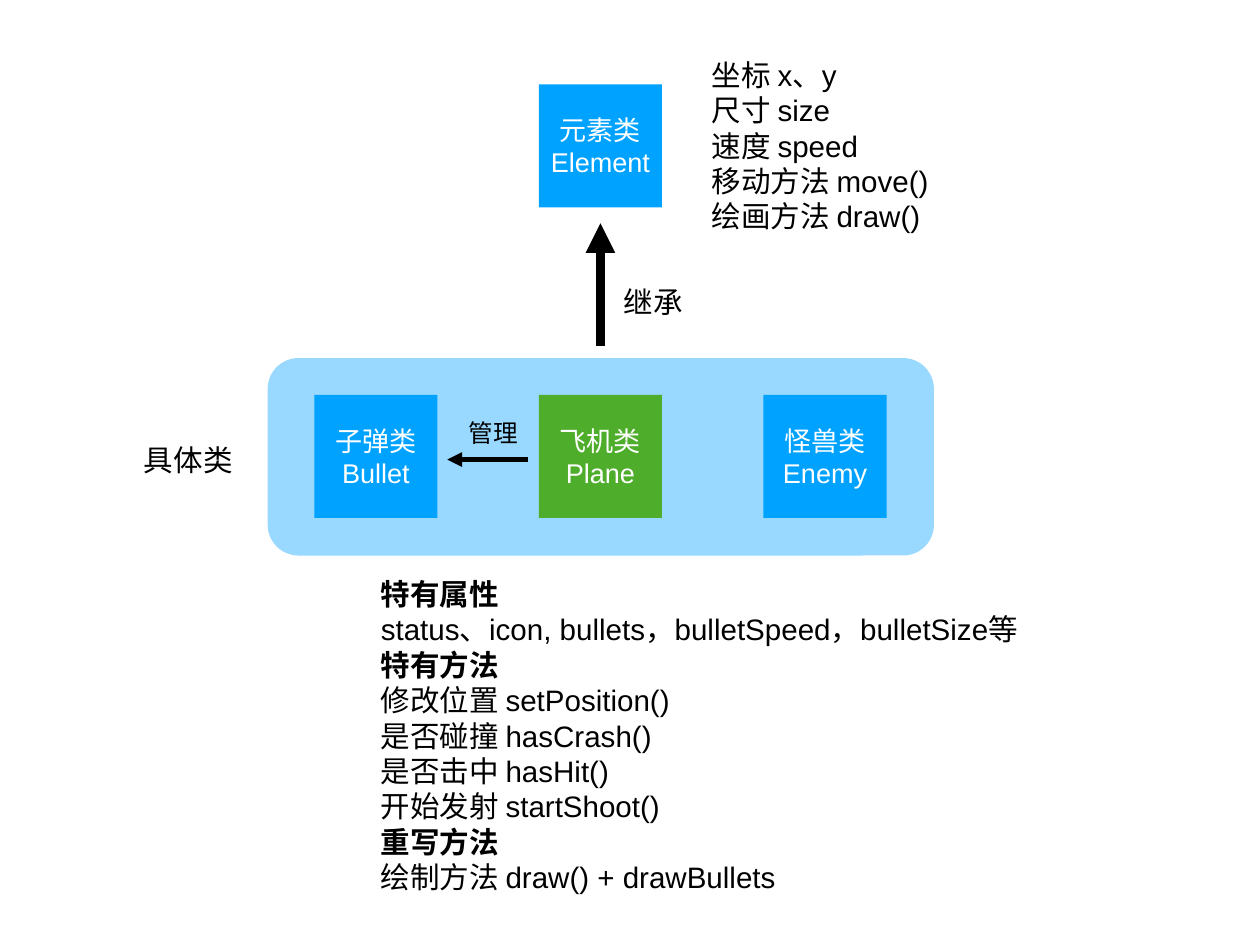
from pptx import Presentation
from pptx.dml.color import RGBColor
from pptx.enum.shapes import MSO_CONNECTOR as Line, MSO_SHAPE as Shape
from pptx.enum.text import MSO_ANCHOR as Anchor, PP_ALIGN as Align
from pptx.oxml.ns import qn
from pptx.util import Pt
from lxml.etree import SubElement as Sub

COLORS = {"blue": "00A2FF", "green": "4EAD2B", "panel": "56C1FF",
          "white": "FFFFFF", "black": "000000"}
COLORS = {name: RGBColor.from_string(code) for name, code in COLORS.items()}


def write(shape, lines, size, color, align, wrap=False, bold=()):
    """Fill a shape with one paragraph per line; bold lists the heading lines."""
    frame = shape.text_frame
    form = {"word_wrap": wrap, "vertical_anchor": Anchor.MIDDLE,
            "margin_left": Pt(4), "margin_right": Pt(4),
            "margin_top": Pt(4), "margin_bottom": Pt(4)}
    for key, value in form.items():
        setattr(frame, key, value)
    for i, line in enumerate(lines):
        para = frame.paragraphs[0] if i == 0 else frame.add_paragraph()
        para.alignment = align
        run = para.add_run()
        run.text = line
        font = {"name": "Arial", "size": Pt(size), "bold": line in bold}
        for key, value in font.items():
            setattr(run.font, key, value)
        run.font.color.rgb = COLORS[color]


def block(kind, x, y, w, h, color):
    """Add a filled shape without outline or shadow."""
    shape = slide.shapes.add_shape(kind, Pt(x), Pt(y), Pt(w), Pt(h))
    shape.shadow.inherit = False
    shape.fill.solid()
    shape.fill.fore_color.rgb = COLORS[color]
    shape.line.fill.background()
    return shape


prs = Presentation()
prs.slide_width, prs.slide_height = Pt(1024), Pt(768)
slide = prs.slides.add_slide(prs.slide_layouts[6])

# Panel of concrete classes
panel = block(Shape.ROUNDED_RECTANGLE, 217.5, 291, 541.5, 160.5, "panel")
panel.adjustments[0] = 0.156
tint = panel.fill._xPr.find(qn("a:solidFill"))[0]
Sub(tint, qn("a:alpha"), val="60000")

# Class squares: column, top, fill, names
SIDE, LEFT, STEP = 100, 255.5, 182.5
CLASSES = [
    (1, 68.5, "blue", ["元素类", "Element"]),
    (0, 321, "blue", ["子弹类", "Bullet"]),
    (1, 321, "green", ["飞机类", "Plane"]),
    (2, 321, "blue", ["怪兽类", "Enemy"]),
]
for col, top, color, names in CLASSES:
    square = block(Shape.RECTANGLE, LEFT + col * STEP, top, SIDE, SIDE, color)
    write(square, names, 22, "white", Align.CENTER, wrap=True)

# Arrows: start, end, width
ARROWS = [((488, 281.5), (488, 181.5), 8), ((429, 373.5), (363.5, 373.5), 4)]
for start, end, width in ARROWS:
    arrow = slide.shapes.add_connector(
        Line.STRAIGHT, *[Pt(v) for v in start + end])
    arrow.line.width = Pt(width)
    arrow.line.color.rgb = COLORS["black"]
    Sub(arrow.line._get_or_add_ln(), qn("a:tailEnd"), type="triangle")
    Sub(arrow._element.spPr, qn("a:effectLst"))

# Text: box, size, alignment, wrap, lines
HEADS = ["特有属性", "特有方法", "重写方法"]
NOTES = [
    ((574.5, 31.5, 193, 173), 24, Align.LEFT, False,
     ["坐标 x、y", "尺寸 size", "速度 speed", "移动方法 move()", "绘画方法 draw()"]),
    ((502.5, 224.5, 57, 41), 24, Align.CENTER, False, ["继承"]),
    ((112.5, 353, 81, 41), 24, Align.CENTER, False, ["具体类"]),
    ((376.5, 334, 49, 36), 20, Align.CENTER, False, ["管理"]),
    ((305.5, 445, 538.5, 305), 24, Align.LEFT, True,
     [HEADS[0], "status、icon, bullets，bulletSpeed，bulletSize等",
      HEADS[1], "修改位置 setPosition()", "是否碰撞 hasCrash()",
      "是否击中 hasHit()", "开始发射 startShoot()",
      HEADS[2], "绘制方法 draw() + drawBullets"]),
]
for box, size, align, wrap, lines in NOTES:
    note = slide.shapes.add_textbox(*[Pt(v) for v in box])
    write(note, lines, size, "black", align, wrap, HEADS)

prs.save("out.pptx")
